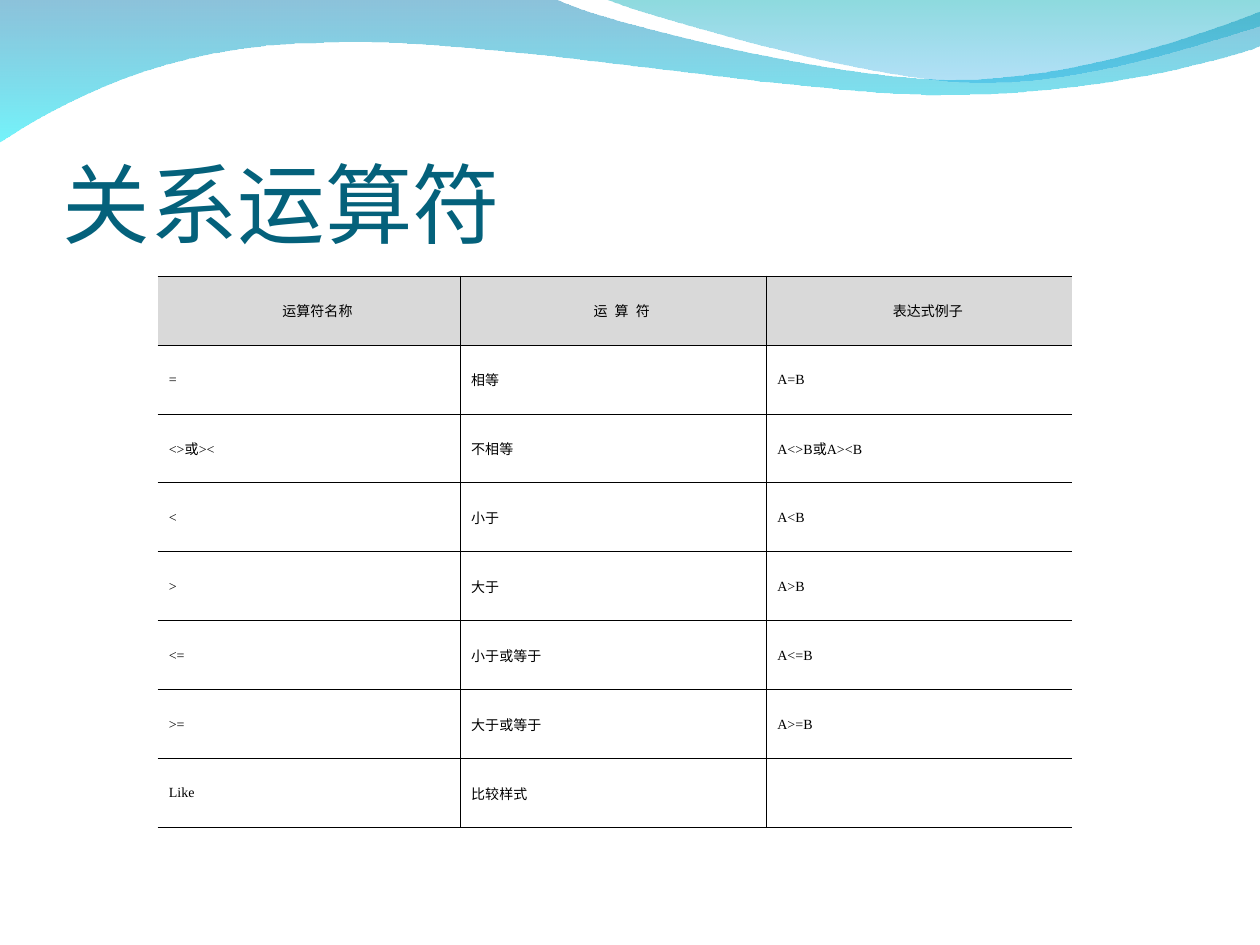
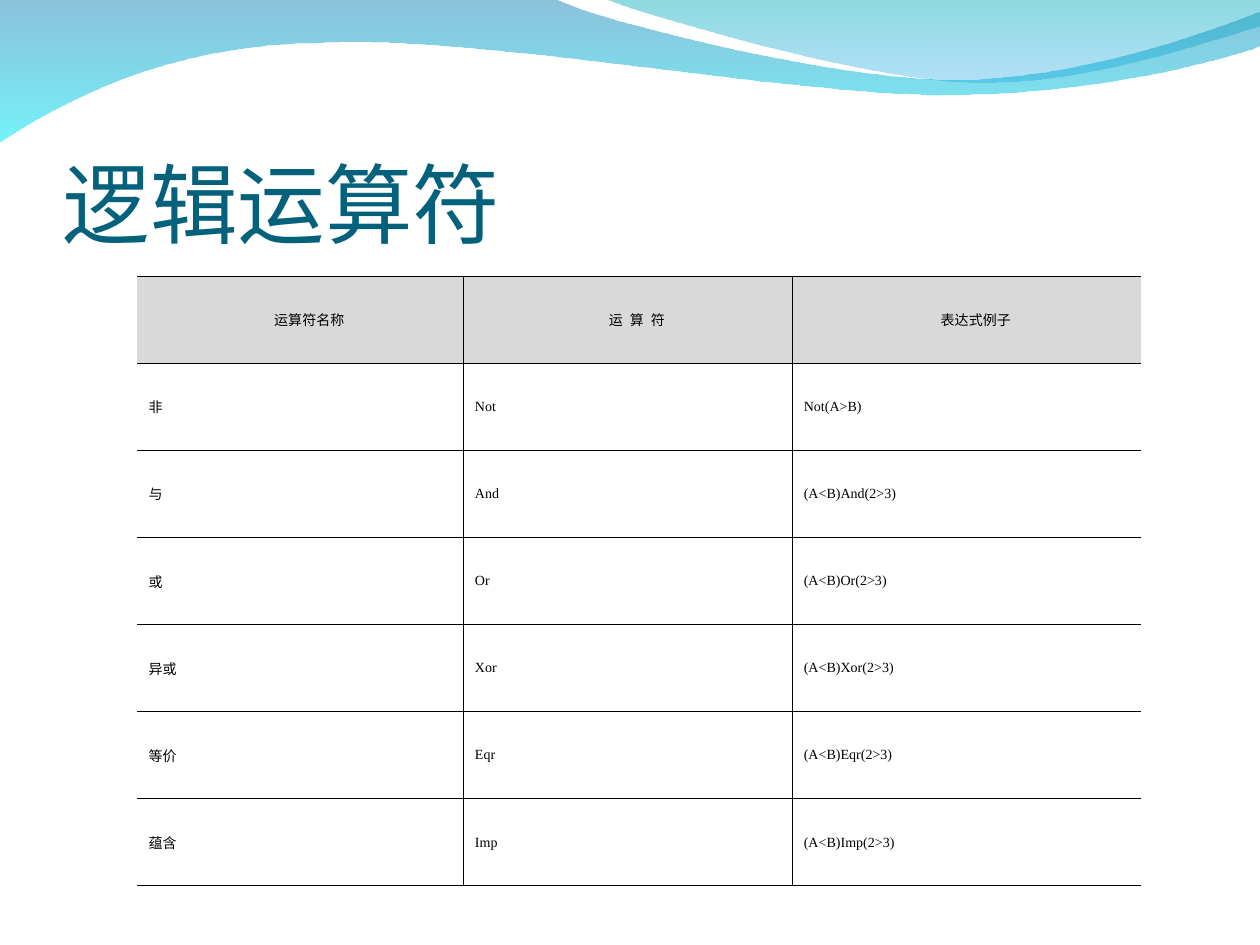
"""Build two slides of operator tables under a shared wave header."""
from lxml import etree
from pptx import Presentation
from pptx import util as u
from pptx.dml.color import RGBColor
from pptx.enum import text
from pptx.oxml.ns import qn

WIDTH, HEIGHT = 10, 7.5
TABLE_TOP = 2.19
BLACK, TEAL, GREY = "000000", "04617B", "D9D9D9"
HEADINGS = ["运算符名称", "运 算 符", "表达式例子"]
SPACED_HEADING = HEADINGS[1]

LEFT_WAVE = {
    "start": (0, -0.01),
    "segments": [
        [(4.4, -0.01)],
        [(4.76, 0.17), (6.64, 0.63), (7.58, 0.63)],
        [(8.53, 0.63), (9.58, 0.26), (10, 0.09)],
        [(10.01, 0.36)],
        [(9.83, 0.44), (8.7, 0.76), (7.46, 0.75)],
        [(6.22, 0.75), (3.82, 0.28), (2.57, 0.34)],
        [(1.29, 0.35), (0.46, 0.83), (-0.01, 1.13)],
        [(0, -0.01)],
    ],
    "stops": [("0079AF", 45), ("00EBF8", 55)],
}
RIGHT_WAVE = {
    "start": (4.79, -0.01),
    "segments": [
        [(5.09, 0.11), (6.82, 0.62), (7.69, 0.65)],
        [(8.56, 0.69), (9.61, 0.32), (10, 0.21)],
        [(10, 0)],
        [(4.79, -0.01)],
    ],
    "stops": [("00ADB6", 45), ("009BE5", 30)],
}

RELATIONS = [
    ("=", "相等", "A=B"),
    ("<>或><", "不相等", "A<>B或A><B"),
    ("<", "小于", "A<B"),
    (">", "大于", "A>B"),
    ("<=", "小于或等于", "A<=B"),
    (">=", "大于或等于", "A>=B"),
    ("Like", "比较样式", ""),
]
LOGIC = [("非", "Not", "Not(A>B)")] + [
    (name, word, f"(A<B){word}(2>3)")
    for name, word in [("与", "And"), ("或", "Or"), ("异或", "Xor"),
                       ("等价", "Eqr"), ("蕴含", "Imp")]
]


def color(value):
    """Turn a hex string into a colour."""
    return RGBColor.from_string(value)


def bend(wave, segments):
    """Merge the three lines of each curved segment into one cubic curve."""
    lines = iter(list(wave._element.spPr.iter(qn("a:lnTo"))))
    for segment in segments:
        pieces = [next(lines) for _ in segment]
        if len(pieces) == 3:
            curve = etree.Element(qn("a:cubicBezTo"))
            pieces[0].addprevious(curve)
            for piece in pieces:
                curve.append(piece[0])
                piece.getparent().remove(piece)


def add_wave(page, start, segments, stops):
    """Draw one translucent wave with a vertical gradient."""
    outline = [(u.Inches(x), u.Inches(y)) for x, y in [start, *sum(segments, [])]]
    builder = page.shapes.build_freeform(*outline[0], scale=1.0)
    builder.add_line_segments(outline[1:], close=True)
    wave = builder.convert_to_shape()
    bend(wave, segments)
    wave.shadow.inherit = False
    wave.line.fill.background()
    wave.fill.gradient()
    wave.fill.gradient_angle = 270
    for place, (stop, (value, _)) in enumerate(zip(wave.fill.gradient_stops, stops)):
        stop.position = place
        stop.color.rgb = color(value)
    tints = wave._element.spPr.iter(qn("a:srgbClr"))
    for tint, (_, opacity) in zip(tints, stops):
        etree.SubElement(tint, qn("a:alpha"), val=str(opacity * 1000))


def write(frame, words, size, font, fill, align=text.PP_ALIGN.LEFT, gap=0, indent=0,
          tracking=0):
    """Write one formatted paragraph into a text frame."""
    para = frame.paragraphs[0]
    para.alignment = align
    para.space_before = para.space_after = u.Pt(gap)
    para._p.get_or_add_pPr().set("marL", str(u.Inches(indent)))
    span = para.add_run()
    span.text = words
    span.font.size = u.Pt(size)
    span.font.name = font
    span.font.color.rgb = color(fill)
    if tracking:
        span._r.get_or_add_rPr().set("spc", str(round(tracking * 100)))


def add_title(page, words):
    """Place the slide title on its baseline."""
    box = page.shapes.add_textbox(u.Inches(WIDTH * 0.05), u.Inches(0.77),
                                  u.Inches(WIDTH * 0.9), u.Inches(1.25))
    frame = box.text_frame
    frame.word_wrap = True
    frame.vertical_anchor = text.MSO_ANCHOR.BOTTOM
    frame.margin_left = frame.margin_right = frame.margin_bottom = 0
    write(frame, words, 50, "Calibri", TEAL)


def set_borders(cell, visible):
    """Rule the visible sides of a cell and clear the others."""
    properties = cell._tc.get_or_add_tcPr()
    for side in "LRTB":
        line = etree.SubElement(properties, qn(f"a:ln{side}"), w=str(u.Pt(0.45)))
        if side in visible:
            paint = etree.SubElement(line, qn("a:solidFill"))
            etree.SubElement(paint, qn("a:srgbClr"), val=BLACK)
        else:
            etree.SubElement(line, qn("a:noFill"))


def fill_cell(cell, words, header, gap):
    """Format one cell as a heading or as a body entry."""
    cell.vertical_anchor = text.MSO_ANCHOR.MIDDLE
    cell.margin_left = cell.margin_right = u.Inches(0.09)
    if header:
        cell.fill.solid()
        cell.fill.fore_color.rgb = color(GREY)
        tracking = 1.1 if words == SPACED_HEADING else 0
        write(cell.text_frame, words, 8, "Arial", BLACK, gap=gap, indent=0.14,
              align=text.PP_ALIGN.CENTER, tracking=tracking)
    else:
        cell.fill.background()
        if words:
            write(cell.text_frame, words, 8, "Times New Roman", BLACK, gap=gap)


def add_operator_table(page, entries, left, widths, height, gap):
    """Add a table that is open on its left and right edges."""
    rows = [HEADINGS, *entries]
    table = page.shapes.add_table(
        len(rows), len(widths), u.Inches(left), u.Inches(TABLE_TOP),
        u.Inches(sum(widths)), u.Inches(height)).table
    table.first_row = table.horz_banding = False
    for column, width in zip(table.columns, widths):
        column.width = u.Inches(width)
    for r, row in enumerate(rows):
        for c, words in enumerate(row):
            cell = table.cell(r, c)
            sides = "TB" + ("L" if c else "") + ("R" if c < len(row) - 1 else "")
            set_borders(cell, sides)
            fill_cell(cell, words, header=r == 0, gap=gap)


def add_page(deck, title, entries, **layout):
    """Add a slide with the waves, a title and an operator table."""
    page = deck.slides.add_slide(deck.slide_layouts[6])
    for wave in (LEFT_WAVE, RIGHT_WAVE):
        add_wave(page, **wave)
    add_title(page, title)
    add_operator_table(page, entries, **layout)


def main():
    """Build and save the deck."""
    deck = Presentation()
    deck.slide_width, deck.slide_height = u.Inches(WIDTH), u.Inches(HEIGHT)
    add_page(deck, "关系运算符", RELATIONS, left=1.25, widths=[2.4, 2.43, 2.43],
             height=4.38, gap=2.9)
    add_page(deck, "逻辑运算符", LOGIC, left=1.09, widths=[2.59, 2.61, 2.77],
             height=4.84, gap=2.8)
    deck.save("out.pptx")


if __name__ == "__main__":
    main()
